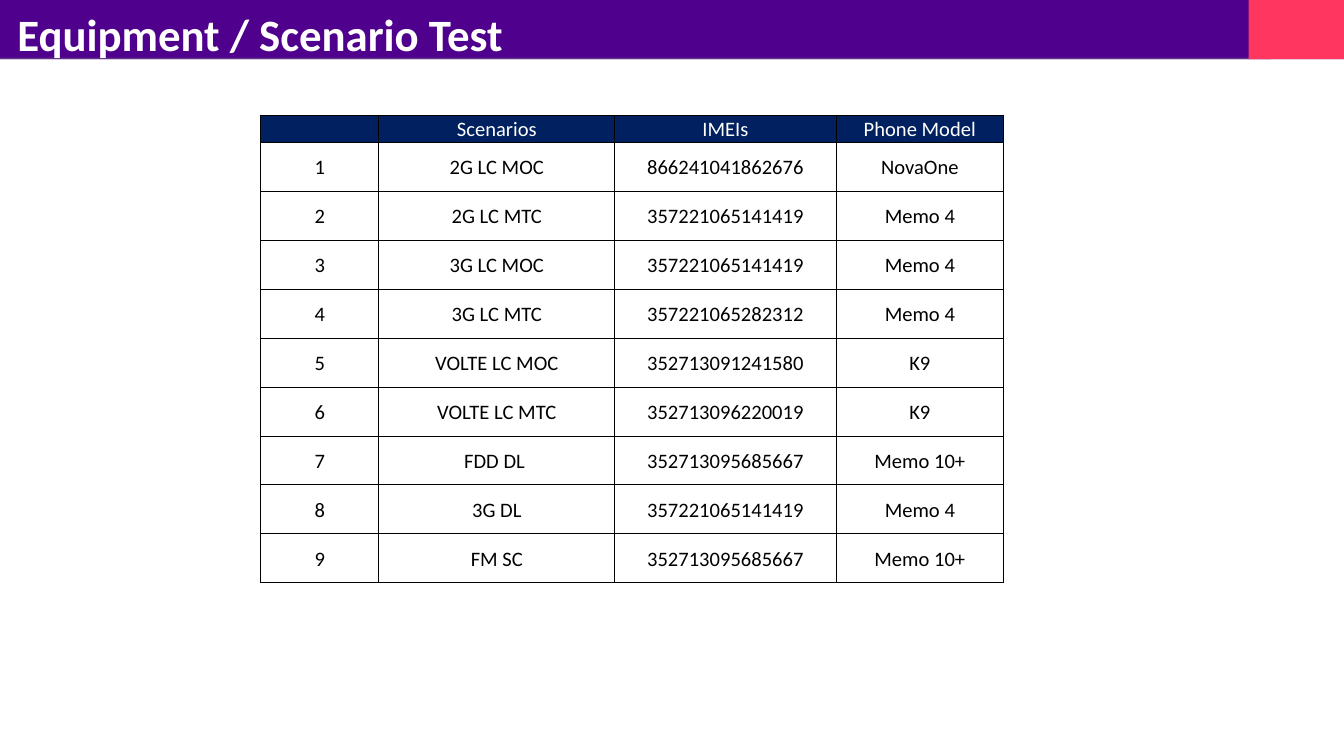
import pptx
import pptx.dml.color
import pptx.enum.shapes
import pptx.enum.text
import pptx.oxml
import pptx.oxml.ns
import pptx.util
from pptx.util import Cm

COLORS = {
    "banner": "4F008C",
    "rule": "623289",
    "accent": "FF375E",
    "header": "002060",
    "white": "FFFFFF",
    "black": "000000",
}
FONT = "Calibri"
TABLE_SIZE = 11
BORDER_WIDTH = 0.5

HEADINGS = ["", "Scenarios", "IMEIs", "Phone Model"]
TESTS = [
    ("2G LC MOC", "866241041862676", "NovaOne"),
    ("2G LC MTC", "357221065141419", "Memo 4"),
    ("3G LC MOC", "357221065141419", "Memo 4"),
    ("3G LC MTC", "357221065282312", "Memo 4"),
    ("VOLTE LC MOC", "352713091241580", "K9"),
    ("VOLTE LC MTC", "352713096220019", "K9"),
    ("FDD DL ", "352713095685667", "Memo 10+"),
    ("3G DL", "357221065141419", "Memo 4"),
    ("FM SC", "352713095685667", "Memo 10+"),
]
COLUMN_WIDTHS = [2.23, 4.46, 4.18, 3.17]
TABLE_HEIGHT = 8.84
HEADER_HEIGHT = 0.51


def rgb(name):
    return pptx.dml.color.RGBColor.from_string(COLORS[name])


def apply_format(target, values):
    for name, value in values.items():
        setattr(target, name, value)


def add_text(paragraph, text, size, color, bold=False):
    span = paragraph.add_run()
    span.text = text
    apply_format(span.font, {"name": FONT, "size": pptx.util.Pt(size), "bold": bold})
    span.font.color.rgb = rgb(color)


def add_bar(page, left, top, width, height, color):
    bar = page.shapes.add_shape(
        pptx.enum.shapes.MSO_SHAPE.RECTANGLE, Cm(left), Cm(top), Cm(width), Cm(height)
    )
    bar.shadow.inherit = False
    bar.fill.solid()
    bar.fill.fore_color.rgb = rgb(color)
    bar.line.fill.background()


def add_title(page, text):
    box = page.shapes.add_textbox(Cm(0.33), Cm(0.08), Cm(23.98), Cm(1.09))
    apply_format(box.text_frame, {
        "word_wrap": True,
        "margin_left": 0,
        "margin_right": 0,
        "margin_top": Cm(0.05),
        "margin_bottom": 0,
    })
    add_text(box.text_frame.paragraphs[0], text, 24, "white", bold=True)


def add_borders(cell):
    """Outline all four sides; the lines must precede the fill in the cell XML."""
    properties = cell._tc.get_or_add_tcPr()
    for position, side in enumerate(("lnL", "lnR", "lnT", "lnB")):
        line = pptx.oxml.parse_xml(
            f'<a:{side} {pptx.oxml.ns.nsdecls("a")} w="{pptx.util.Pt(BORDER_WIDTH)}">'
            f'<a:solidFill><a:srgbClr val="{COLORS["black"]}"/></a:solidFill></a:{side}>'
        )
        properties.insert(position, line)


def fill_cell(cell, text, is_header):
    apply_format(cell, {
        "vertical_anchor": pptx.enum.text.MSO_ANCHOR.MIDDLE,
        "margin_left": Cm(0.03),
        "margin_right": Cm(0.03),
        "margin_top": Cm(0.03),
        "margin_bottom": 0,
    })
    if is_header:
        cell.fill.solid()
        cell.fill.fore_color.rgb = rgb("header")
    else:
        cell.fill.background()
    add_borders(cell)
    para = cell.text_frame.paragraphs[0]
    para.alignment = pptx.enum.text.PP_ALIGN.CENTER
    if text:
        add_text(para, text, TABLE_SIZE, "white" if is_header else "black")
    else:
        # An empty cell needs its own text size, or it stretches the row.
        para._p.append(pptx.oxml.parse_xml(
            f'<a:endParaRPr {pptx.oxml.ns.nsdecls("a")} sz="{TABLE_SIZE * 100}"/>'
        ))


def add_scenario_table(page):
    rows = [HEADINGS] + [(str(number), *test) for number, test in enumerate(TESTS, 1)]
    frame = page.shapes.add_table(
        len(rows), len(HEADINGS), Cm(4.93), Cm(2.18), Cm(sum(COLUMN_WIDTHS)), Cm(TABLE_HEIGHT)
    )
    table = frame.table
    table.horz_banding = False
    for column, width in zip(table.columns, COLUMN_WIDTHS):
        column.width = Cm(width)
    row_height = (TABLE_HEIGHT - HEADER_HEIGHT) / len(TESTS)
    for row_index, texts in enumerate(rows):
        is_header = row_index == 0
        table.rows[row_index].height = Cm(HEADER_HEIGHT if is_header else row_height)
        for column_index, text in enumerate(texts):
            fill_cell(table.cell(row_index, column_index), text, is_header)


def main():
    deck = pptx.Presentation()
    deck.slide_width = Cm(25.4)
    deck.slide_height = Cm(14.29)
    page = deck.slides.add_slide(deck.slide_layouts[6])
    add_bar(page, 0, 0, 25.4, 1.12, "banner")
    add_bar(page, 0, 1.09, 24, 0.03, "rule")
    add_bar(page, 23.6, 0, 1.8, 1.12, "accent")
    add_title(page, "Equipment / Scenario Test")
    add_scenario_table(page)
    deck.save("out.pptx")


if __name__ == "__main__":
    main()
